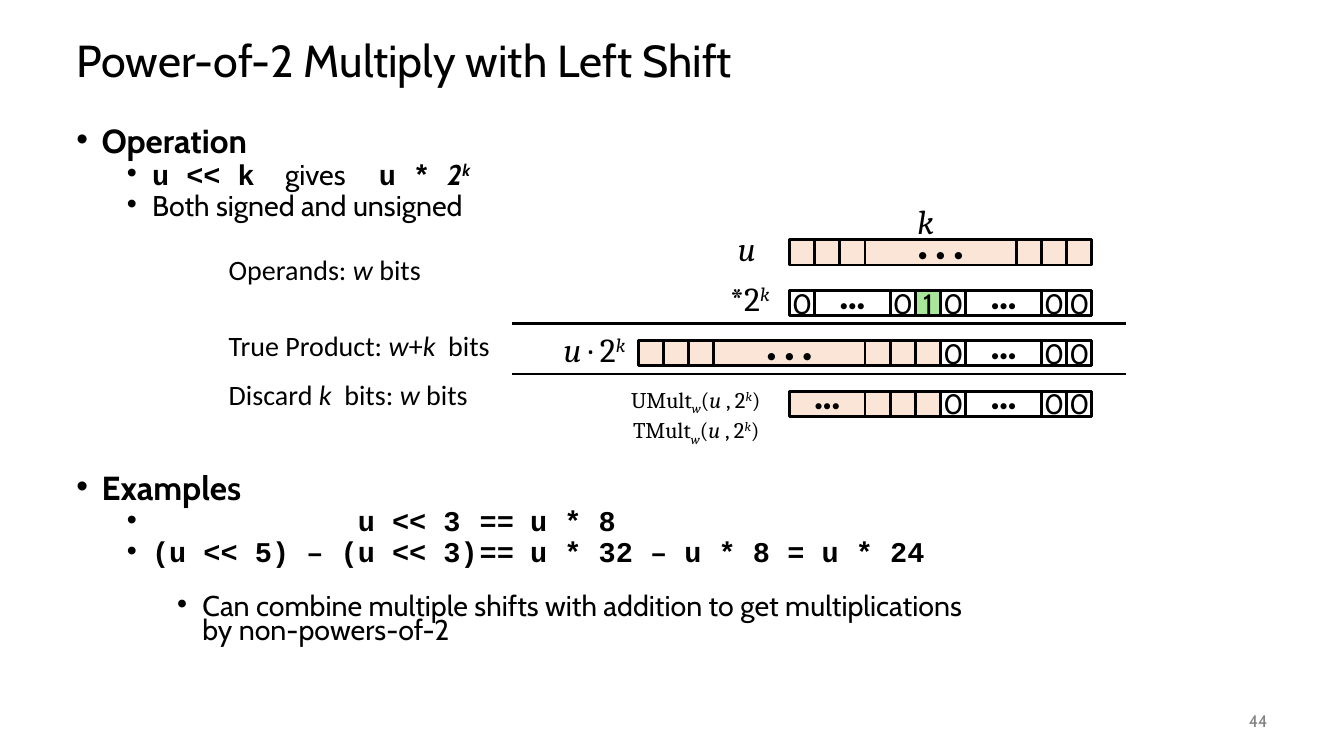
from lxml import etree
from pptx import Presentation
from pptx.dml.color import RGBColor
from pptx.enum.shapes import MSO_CONNECTOR, MSO_SHAPE
from pptx.enum.text import MSO_ANCHOR, MSO_AUTO_SIZE, PP_ALIGN
from pptx.oxml.ns import qn
from pptx.util import Inches, Pt

LEFT, CENTER, RIGHT = PP_ALIGN.LEFT, PP_ALIGN.CENTER, PP_ALIGN.RIGHT
TOP, MIDDLE = MSO_ANCHOR.TOP, MSO_ANCHOR.MIDDLE
FIT = MSO_AUTO_SIZE.SHAPE_TO_FIT_TEXT
RECTANGLE, STRAIGHT = MSO_SHAPE.RECTANGLE, MSO_CONNECTOR.STRAIGHT
BLACK, GRAY, WHITE, PEACH, GREEN = "000000", "808080", "FFFFFF", "FBE5D6", "A8E799"
BASELINES = {"^": "30000", "_": "-25000"}
CODE = "Courier New"


def add_runs(paragraph, runs, size, font, color=BLACK):
    for text, style, *other_font in runs:
        run = paragraph.add_run()
        run.text = text
        run.font.size = Pt(size)
        run.font.name = other_font[0] if other_font else font
        run.font.bold = "b" in style
        run.font.italic = "i" in style
        run.font.color.rgb = RGBColor.from_string(color)
        for mark, baseline in BASELINES.items():
            if mark in style:
                run.font._element.set("baseline", baseline)


def add_text_box(left, top, width, height, wrap=True, anchor=TOP):
    box = slide.shapes.add_textbox(Inches(left), Inches(top), Inches(width), Inches(height))
    box.text_frame.word_wrap = wrap
    box.text_frame.vertical_anchor = anchor
    return box.text_frame


presentation = Presentation()
presentation.slide_width = Inches(13.33)
presentation.slide_height = Inches(7.5)
slide = presentation.slides.add_slide(presentation.slide_layouts[6])

title = add_text_box(0.66, 0.25, 12, 0.75, anchor=MIDDLE).paragraphs[0]
title.line_spacing = 0.9
add_runs(title, [("Power-of-2 Multiply with Left Shift", "")], 32, "Cabin")

combine_lines = ["Can combine multiple shifts with addition to get multiplications",
                 "by non-powers-of-2"]
sections = [
    (1.25, 1.1, [
        (0, 0, [], [[("Operation", "b")]]),
        (1, 5, [1.28, 2.07], [[("u << k\t", "b", CODE), ("gives\t", ""), ("u * ", "b", CODE),
                               ("2", "bi"), ("k", "bi^")]]),
        (1, 5, [], [[("Both signed and unsigned", "")]]),
    ]),
    (4.69, 2.06, [
        (0, 0, [], [[("Examples", "b")]]),
        (1, 5, [3.25], [[("            u << 3\t==\tu * 8", "b", CODE)]]),
        (1, 5, [3.25], [[("(u << 5) – (u << 3)\t==\tu * 32 – u * 8 = u * 24", "b", CODE)]]),
        (2, 21, [], [[(line, "")] for line in combine_lines]),
    ]),
]
for top, height, bullets in sections:
    frame = add_text_box(0.66, top, 12, height)
    for index, (level, space_before, tabs, lines) in enumerate(bullets):
        paragraph = frame.add_paragraph() if index else frame.paragraphs[0]
        paragraph.level = level
        properties = paragraph._p.get_or_add_pPr()
        properties.set("marL", str(Inches(0.25 + 0.5 * level)))
        properties.set("indent", str(Inches(-0.25)))
        etree.SubElement(properties, qn("a:buFont"), typeface="Arial")
        etree.SubElement(properties, qn("a:buChar"), char="•")
        if tabs:
            tab_list = etree.SubElement(properties, qn("a:tabLst"))
            for position in tabs:
                etree.SubElement(tab_list, qn("a:tab"), pos=str(Inches(position)), algn="l")
        paragraph.line_spacing = 0.7
        paragraph.space_before = Pt(space_before)
        for number, runs in enumerate(lines):
            if number:
                paragraph.add_line_break()
            add_runs(paragraph, runs, 20.4 if level else 23.8, "Cabin")

BIT = 0.25
peach_bits = [(1, "", PEACH)] * 3
zero = (1, "0", WHITE)
white_dots = (3, "•••", WHITE)
wide_dots = (6, "• • •", PEACH)
shifted_zeros = [zero, white_dots, zero, zero]
bit_rows = [
    (7.83, peach_bits + [wide_dots] + peach_bits),
    (7.83, [zero, white_dots, zero, (1, "1", GREEN)] + shifted_zeros),
    (6.33, peach_bits + [wide_dots] + peach_bits + shifted_zeros),
    (7.83, [(3, "•••", PEACH)] + peach_bits + shifted_zeros),
]
for row, (left, cells) in enumerate(bit_rows):
    for bits, text, fill in cells:
        cell = slide.shapes.add_shape(RECTANGLE, Inches(left), Inches(2.38 + 0.5 * row),
                                      Inches(bits * BIT), Inches(BIT))
        cell.shadow.inherit = False
        cell.fill.solid()
        cell.fill.fore_color.rgb = RGBColor.from_string(fill)
        cell.line.color.rgb = RGBColor.from_string(BLACK)
        cell.line.width = Pt(2)
        if text:
            cell.text_frame.word_wrap = False
            cell.text_frame.vertical_anchor = MIDDLE
            paragraph = cell.text_frame.paragraphs[0]
            paragraph.alignment = CENTER
            add_runs(paragraph, [(text, "")], 24 if bits == 6 else 20, "Cabin")
        left += bits * BIT

for y in (3.21, 3.71):
    rule = slide.shapes.add_connector(STRAIGHT, Inches(5.08), Inches(y), Inches(11.17), Inches(y))
    rule.line.color.rgb = RGBColor.from_string(BLACK)
    rule.line.width = Pt(2)
    etree.SubElement(rule._element.spPr, qn("a:effectLst"))

arguments = [("w", "i_"), ("(", ""), ("u", "i"), (" , 2", ""), ("k", "i^"), (")", "")]
labels = [
    (9, 1.94, 0.35, 0.5, 24, "Cambria", LEFT, [("k", "i")]),
    (7.22, 2.21, 0.37, 0.5, 24, "Cambria", LEFT, [("u", "i")]),
    (7.14, 2.71, 0.64, 0.5, 24, "Cambria", LEFT, [("*2", ""), ("k", "i^")]),
    (5.38, 3.21, 0.92, 0.5, 24, "Cambria", RIGHT, [("u ", "i"), ("· 2", ""), ("k", "i^")]),
    (6.13, 3.78, 1.51, 0.37, 16, "Cambria", RIGHT, [("UMult", "")] + arguments),
    (6.14, 4.08, 1.49, 0.37, 16, "Cambria", RIGHT, [("TMult", "")] + arguments),
    (2.17, 2.46, 2.13, 0.44, 20, "Calibri", LEFT,
     [("Operands: ", ""), ("w", "i"), (" bits", "")]),
    (2.17, 3.21, 2.81, 0.44, 20, "Calibri", LEFT,
     [("True Product: ", ""), ("w", "i"), ("+", ""), ("k", "i"), ("  bits", "")]),
    (2.17, 3.7, 2.67, 0.44, 20, "Calibri", LEFT,
     [("Discard ", ""), ("k ", "i"), (" bits: ", ""), ("w", "i"), (" bits", "")]),
]
for left, top, width, height, size, font, alignment, runs in labels:
    frame = add_text_box(left, top, width, height, wrap=False)
    frame.auto_size = FIT
    frame.paragraphs[0].alignment = alignment
    add_runs(frame.paragraphs[0], runs, size, font)

page_number = add_text_box(11.67, 6.95, 1, 0.4, anchor=MIDDLE).paragraphs[0]
page_number.alignment = RIGHT
add_runs(page_number, [("44", "")], 12, "Cabin", GRAY)

presentation.save("out.pptx")
